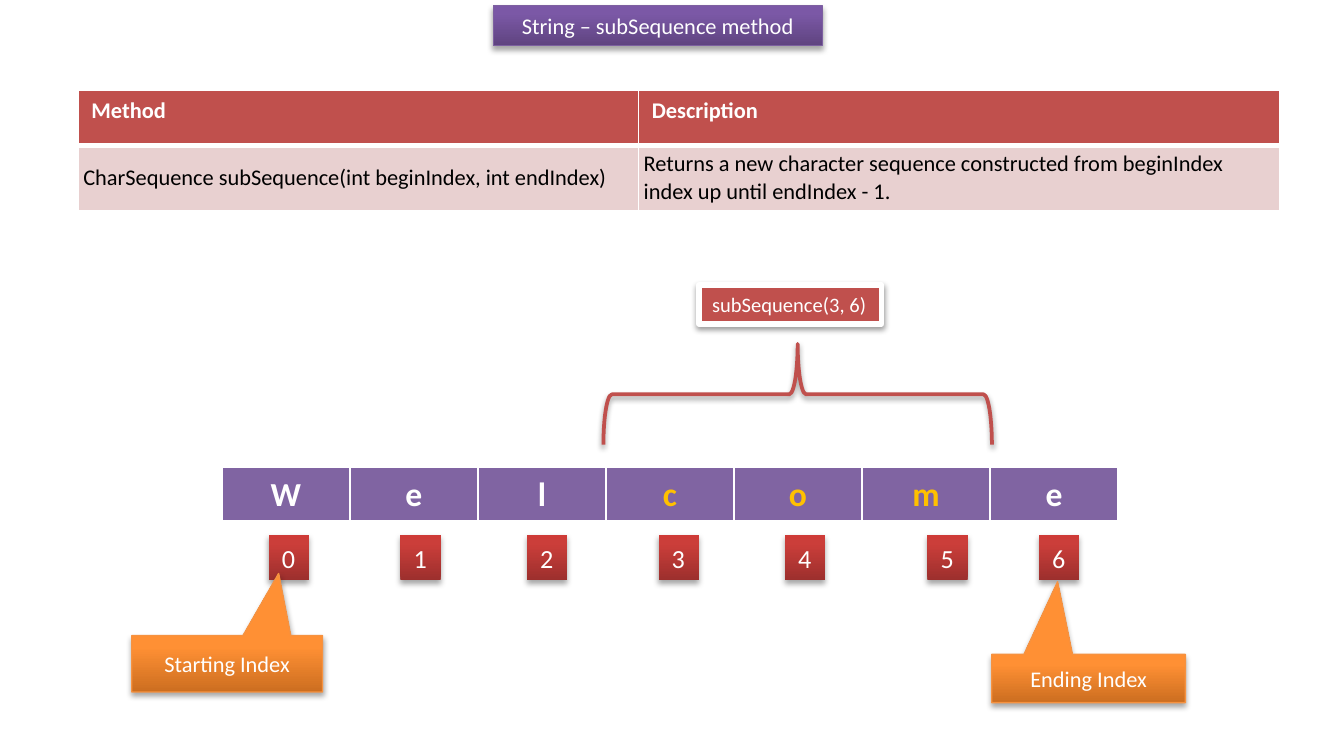
import copy

import pptx
import pptx.dml.color
import pptx.enum.shapes
import pptx.enum.text
import pptx.oxml
import pptx.oxml.ns
import pptx.util

Inches, Pt = pptx.util.Inches, pptx.util.Pt
SHAPES = pptx.enum.shapes.MSO_SHAPE
ALIGN = pptx.enum.text.PP_ALIGN
ANCHOR = pptx.enum.text.MSO_ANCHOR
NAMESPACE = pptx.oxml.ns.nsdecls("a")

WHITE, RED, PURPLE, GOLD = "FFFFFF", "C0504D", "8064A2", "FFC000"
PURPLE_BLEND = ("5F4480", "7B58A6", "7C57A8")
RED_BLEND = ("9C2F2D", "CB3E3A", "CE3B37")
ORANGE_BLEND = ("CC6E20", "FF9034", "FF9136")


def color(value):
    return pptx.dml.color.RGBColor.from_string(value)


def write(frame, text, size, ink=WHITE, bold=False, align=ALIGN.CENTER):
    para = frame.paragraphs[0]
    para.alignment = align
    span = para.add_run()
    span.text = text
    formats = {"name": "Calibri", "size": Pt(size), "bold": bold}
    for name, value in formats.items():
        setattr(span.font, name, value)
    span.font.color.rgb = color(ink)


def place(shape, box):
    for name, value in zip(("left", "top", "width", "height"), box):
        setattr(shape, name, Inches(value))


def paint(shape, fill=None, line=None, line_width=0.75, shade=35):
    """Fill with nothing, one colour or a vertical blend; add outline and shadow."""
    if fill is None:
        shape.fill.background()
    elif isinstance(fill, str):
        shape.fill.solid()
        shape.fill.fore_color.rgb = color(fill)
    else:
        shape.fill.gradient()
        shape.fill.gradient_angle = 90
        stops = next(shape._element.spPr.iter(pptx.oxml.ns.qn("a:gsLst")))
        stops.append(copy.deepcopy(stops[-1]))
        for stop, position, value in zip(shape.fill.gradient_stops, (0, 0.8, 1), fill):
            stop.position = position
            stop.color.rgb = color(value)
    if line:
        shape.line.color.rgb = color(line)
        shape.line.width = Pt(line_width)
    else:
        shape.line.fill.background()
    shape.shadow.inherit = False
    effects = shape._element.spPr.find(pptx.oxml.ns.qn("a:effectLst"))
    effects.append(pptx.oxml.parse_xml(
        f'<a:outerShdw {NAMESPACE} blurRad="{Pt(3.1)}" dist="{Pt(1.8)}" dir="5400000" '
        f'rotWithShape="0"><a:srgbClr val="000000"><a:alpha val="{shade * 1000}"/>'
        '</a:srgbClr></a:outerShdw>'))


def add_panel(page, kind, box, **look):
    shape = page.shapes.add_shape(kind, *map(Inches, box))
    paint(shape, **look)
    return shape


def add_title(page, box, text):
    title = page.shapes.title
    place(title, box)
    paint(title, PURPLE_BLEND, "7D60A0")
    title.text_frame.auto_size = pptx.enum.text.MSO_AUTO_SIZE.NONE
    title.text_frame.vertical_anchor = ANCHOR.MIDDLE
    write(title.text_frame, text, 12)


def add_grid(page, box, widths, rows):
    grid = page.shapes.add_table(rows, len(widths), *map(Inches, box)).table
    grid.horz_banding = False
    for column, width in zip(grid.columns, widths):
        column.width = Inches(width)
    for row in grid.rows:
        row.height = Inches(0.41)
    return grid


def paint_cell(cell, fill, bottom=1):
    for side, width in (("L", 1), ("R", 1), ("T", 1), ("B", bottom)):
        cell._tc.get_or_add_tcPr().append(pptx.oxml.parse_xml(
            f'<a:ln{side} {NAMESPACE} w="{Pt(width)}"><a:solidFill>'
            f'<a:srgbClr val="{WHITE}"/></a:solidFill></a:ln{side}>'))
    cell.fill.solid()
    cell.fill.fore_color.rgb = color(fill)


def add_method_table(page, box, header, body):
    grid = add_grid(page, box, (4.17, 4.77), 2)
    for column, (heading, text) in enumerate(zip(header, body)):
        cell = grid.cell(0, column)
        paint_cell(cell, RED, bottom=3)
        write(cell.text_frame, heading, 12, bold=True, align=ALIGN.LEFT)
        cell = grid.cell(1, column)
        paint_cell(cell, "E8D0D0")
        cell.vertical_anchor = ANCHOR.MIDDLE
        for side in ("left", "right", "top", "bottom"):
            setattr(cell, f"margin_{side}", Inches(0.04))
        write(cell.text_frame, text, 12, "000000", align=ALIGN.LEFT)


def add_word(page, box, word, chosen, index_lefts):
    left, top, width, height = box
    grid = add_grid(page, box, [width / len(word)] * len(word), 1)
    for index, letter in enumerate(word):
        cell = grid.cell(0, index)
        paint_cell(cell, PURPLE, bottom=3)
        write(cell.text_frame, letter, 18, GOLD if index in chosen else WHITE, True)
    # Index tiles under the letters
    for index, tile_left in enumerate(index_lefts):
        tile = add_panel(page, SHAPES.RECTANGLE, (tile_left, top + 0.5, 0.3, 0.34),
                         fill=RED_BLEND)
        tile.text_frame.word_wrap = False
        write(tile.text_frame, str(index), 14, align=ALIGN.LEFT)


def add_callout(page, box, text, tip):
    callout = add_panel(page, SHAPES.RECTANGULAR_CALLOUT, box,
                        fill=ORANGE_BLEND, line="F69240")
    for index, value in enumerate(tip):
        callout.adjustments[index] = value
    write(callout.text_frame, text, 12)


def add_range(page, label_box, brace_box, text):
    brace = add_panel(page, SHAPES.LEFT_BRACE, brace_box, line=RED, line_width=2, shade=38)
    brace.rotation = 90
    label = add_panel(page, SHAPES.RECTANGLE, label_box,
                      fill=RED, line=WHITE, line_width=3, shade=38)
    label.text_frame.word_wrap = False
    write(label.text_frame, text, 11, align=ALIGN.LEFT)


def main():
    deck = pptx.Presentation()
    deck.slide_width, deck.slide_height = Inches(10), Inches(5.5)
    page = deck.slides.add_slide(deck.slide_layouts[5])

    add_title(page, (3.67, 0.04, 2.45, 0.3), "String – subSequence method")
    add_method_table(
        page, (0.58, 0.67, 8.94, 0.82), ("Method", "Description"),
        ("CharSequence subSequence(int beginIndex, int endIndex)",
         "Returns a new character sequence constructed "
         "from beginIndex index up until endIndex - 1."))
    add_word(page, (1.65, 3.48, 6.67, 0.41), "Welcome", range(3, 6),
             (2, 2.98, 3.92, 4.9, 5.84, 6.9, 7.73))
    add_callout(page, (0.98, 4.73, 1.42, 0.42), "Starting Index", (0.27, -1.6))
    add_callout(page, (7.38, 4.87, 1.44, 0.36), "Ending Index", (-0.16, -2))
    add_range(page, (5.2, 2.12, 1.36, 0.29), (5.56, 1.49, 0.75, 2.89), "subSequence(3, 6)")
    deck.save("out.pptx")


if __name__ == "__main__":
    main()
